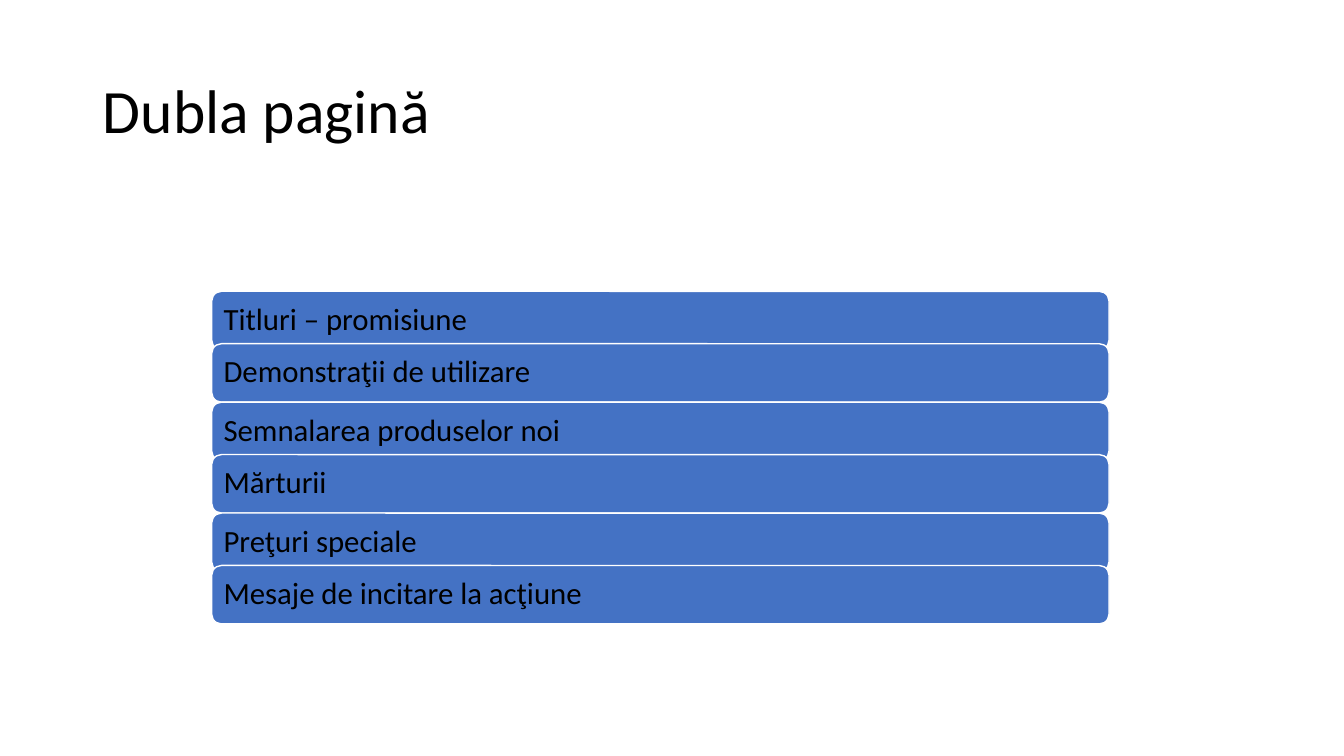
from pptx import Presentation
from pptx.dml.color import RGBColor
from pptx.enum import shapes, text
from pptx.util import Pt

PX = 9144  # EMU per px, 100 px to the inch
COLORS = {"ink": "000000", "bar": "4472C4", "edge": "FFFFFF"}
ITEMS = [
    "Titluri – promisiune",
    "Demonstraţii de utilizare",
    "Semnalarea produselor noi",
    "Mărturii",
    "Preţuri speciale",
    "Mesaje de incitare la acţiune",
]


class Deck:
    font = "Calibri"

    def __init__(self, width, height):
        self.prs = Presentation()
        self.prs.slide_width = width * PX
        self.prs.slide_height = height * PX
        self.slide = self.prs.slides.add_slide(self.prs.slide_layouts[5])

    def color(self, name):
        return RGBColor.from_string(COLORS[name])

    def label(self, shape, words, size):
        frame = shape.text_frame
        frame.text = words
        frame.word_wrap = True
        frame.vertical_anchor = text.MSO_ANCHOR.MIDDLE
        para = frame.paragraphs[0]
        para.alignment = text.PP_ALIGN.LEFT
        para.line_spacing = 0.9
        para.font.name = self.font
        para.font.size = Pt(size)
        para.font.color.rgb = self.color("ink")
        return frame

    def title(self, words, left, top, width, height):
        shape = self.slide.shapes.title
        shape.left, shape.top = left * PX, top * PX
        shape.width, shape.height = width * PX, height * PX
        self.label(shape, words, 44)

    def bar(self, words, left, top, width, height):
        shape = self.slide.shapes.add_shape(
            shapes.MSO_SHAPE.ROUNDED_RECTANGLE,
            left * PX, top * PX, width * PX, height * PX)
        shape.shadow.inherit = False
        shape.fill.solid()
        shape.fill.fore_color.rgb = self.color("bar")
        shape.line.color.rgb = self.color("edge")
        shape.line.width = Pt(1)
        frame = self.label(shape, words, 22)
        frame.margin_left = frame.margin_right = 9 * PX
        frame.margin_top = frame.margin_bottom = 9 * PX


def main():
    deck = Deck(1333, 750)
    deck.title("Dubla pagină", 92, 40, 1150, 145)
    for i, item in enumerate(ITEMS):
        pair, second = divmod(i, 2)
        deck.bar(item, 210, 289 + 110 * pair + 52 * second, 890, 58)
    deck.prs.save("out.pptx")


if __name__ == "__main__":
    main()
